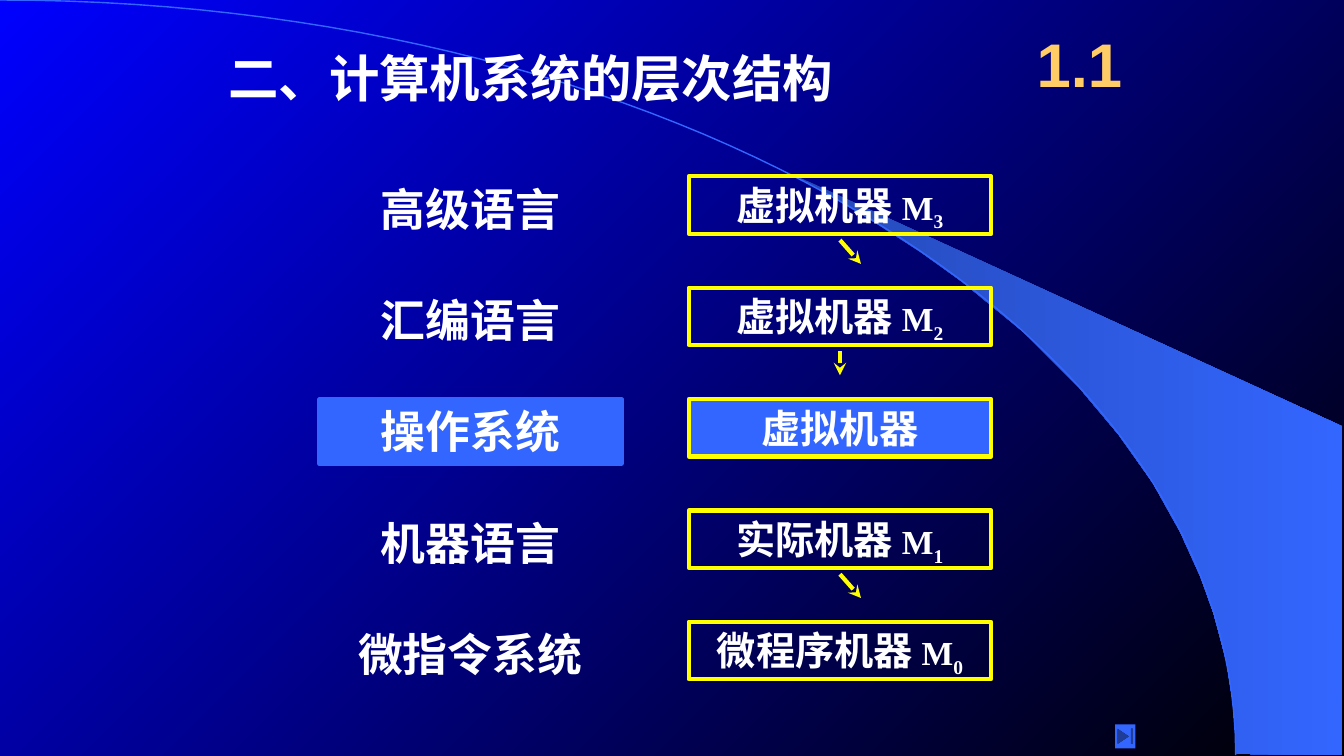
"""Build the slide on the layered structure of a computer system."""
from pptx import Presentation
from pptx import util as u
from pptx.dml.color import RGBColor
from pptx.enum import shapes, text
from pptx.oxml import parse_xml
from pptx.oxml.ns import nsdecls

Pt = u.Pt
CJK, SERIF = "Noto Sans CJK SC", "Times New Roman"
BLUE, YELLOW, WHITE = "3366FF", "FFFF00", "FFFFFF"


def rgb(value):
    return RGBColor.from_string(value)


def style(r, size, font, color=WHITE):
    r.font.size, r.font.name, r.font.bold = Pt(size), font, True
    r.font.color.rgb = rgb(color)
    r.font._element.append(parse_xml(f'<a:ea {nsdecls("a")} typeface="{CJK}"/>'))


prs = Presentation()
prs.slide_width, prs.slide_height = Pt(960), Pt(540)
s = prs.slides.add_slide(prs.slide_layouts[6])

swoosh = [(883.5, 538.5), (958.5, 539.5), (958.5, 304.5), (566, 124.5), (599, 143.5),
          (626.5, 160), (657.5, 180), (687.5, 201.5), (731.5, 237.5), (770.5, 276.5),
          (799, 310.5), (823.5, 345), (843, 380), (857.5, 412), (867, 438.5),
          (876, 472.5), (880.5, 501), (883.5, 538.5)]
arc = []
for i in range(61):
    t = i / 60
    arc.append((3 * 487.5 * t * (1 - t) ** 2 + 3 * 882.7 * t**2 * (1 - t) + 882.7 * t**3,
                3 * 241.2 * t**2 * (1 - t) + 539.3 * t**3))

curves = []
for points, closed in ((swoosh, True), (arc, False)):
    start, *rest = [(Pt(x), Pt(y)) for x, y in points]
    fb = s.shapes.build_freeform(*start)
    fb.add_line_segments(rest, close=closed)
    sp = fb.convert_to_shape()
    sp.shadow.inherit = False
    curves.append(sp)
band, edge = curves
band.line.fill.background()
edge.fill.background()
edge.line.color.rgb, edge.line.width = rgb(BLUE), Pt(1)

for fill, colors, angle in ((s.background.fill, ("0000FF", "000000"), 315),
                            (band.fill, ("2449B6", BLUE), 0)):
    fill.gradient()
    fill.gradient_angle = angle
    for stop, color, position in zip(fill.gradient_stops, colors, (0, 1)):
        stop.color.rgb, stop.position = rgb(color), position

headings = [("二、计算机系统的层次结构", (156, 30, 612, 72), 36, SERIF, WHITE,
             text.PP_ALIGN.LEFT, text.MSO_ANCHOR.TOP),
            ("1.1", (726, 12, 90, 66), 44, "Arial", "FFCC66",
             text.PP_ALIGN.CENTER, text.MSO_ANCHOR.MIDDLE)]
for words, box, size, font, color, align, anchor in headings:
    tf = s.shapes.add_textbox(*map(Pt, box)).text_frame
    tf.word_wrap, tf.vertical_anchor = True, anchor
    p = tf.paragraphs[0]
    p.text, p.alignment = words, align
    style(p.runs[0], size, font, color)

TOP, PITCH = 126, 79.55
layers = [("高级语言", "虚拟机器", "3"), ("汇编语言", "虚拟机器", "2"),
          ("操作系统", "虚拟机器", ""), ("机器语言", "实际机器", "1"),
          ("微指令系统", "微程序机器", "0")]
for row, (language, machine, level) in enumerate(layers):
    cells = [(228, 46, language, 32, None if level else BLUE),
             (492, 41, machine + (" " if level else ""), 28, YELLOW)]
    for left, height, words, size, line in cells:
        sp = s.shapes.add_shape(shapes.MSO_SHAPE.RECTANGLE, Pt(left),
                                Pt(TOP + row * PITCH), Pt(216), Pt(height))
        sp.shadow.inherit = False
        if level:
            sp.fill.background()
        else:
            sp.fill.solid()
            sp.fill.fore_color.rgb = rgb(BLUE)
        if line:
            sp.line.color.rgb, sp.line.width = rgb(line), Pt(3)
        else:
            sp.line.fill.background()
        tf = sp.text_frame
        tf.word_wrap, tf.vertical_anchor = True, text.MSO_ANCHOR.TOP
        p = tf.paragraphs[0]
        p.text, p.alignment = words, text.PP_ALIGN.CENTER
        style(p.runs[0], size, CJK)
    if level:
        for words in ("M", level):
            r = p.add_run()
            r.text = words
            style(r, 24, SERIF)
        r.font._element.set("baseline", "-25000")

for row, shift in ((0, 15), (1, 0), (3, 15)):
    y = TOP + row * PITCH + 45.5
    cx = s.shapes.add_connector(shapes.MSO_CONNECTOR.STRAIGHT,
                                Pt(600), Pt(y), Pt(600 + shift), Pt(y + 17))
    cx.line.color.rgb, cx.line.width = rgb(YELLOW), Pt(3)
    cx.line._get_or_add_ln().append(parse_xml(f'<a:tailEnd {nsdecls("a")} type="stealth"/>'))
    cx._element.spPr.append(parse_xml(f'<a:effectLst {nsdecls("a")}/>'))

sp = s.shapes.add_shape(shapes.MSO_SHAPE.ACTION_BUTTON_END, Pt(796.5), Pt(517.5), Pt(14.5), Pt(17))
sp.shadow.inherit = False
sp.fill.solid()
sp.fill.fore_color.rgb = rgb(BLUE)
sp.line.fill.background()

prs.save("out.pptx")
